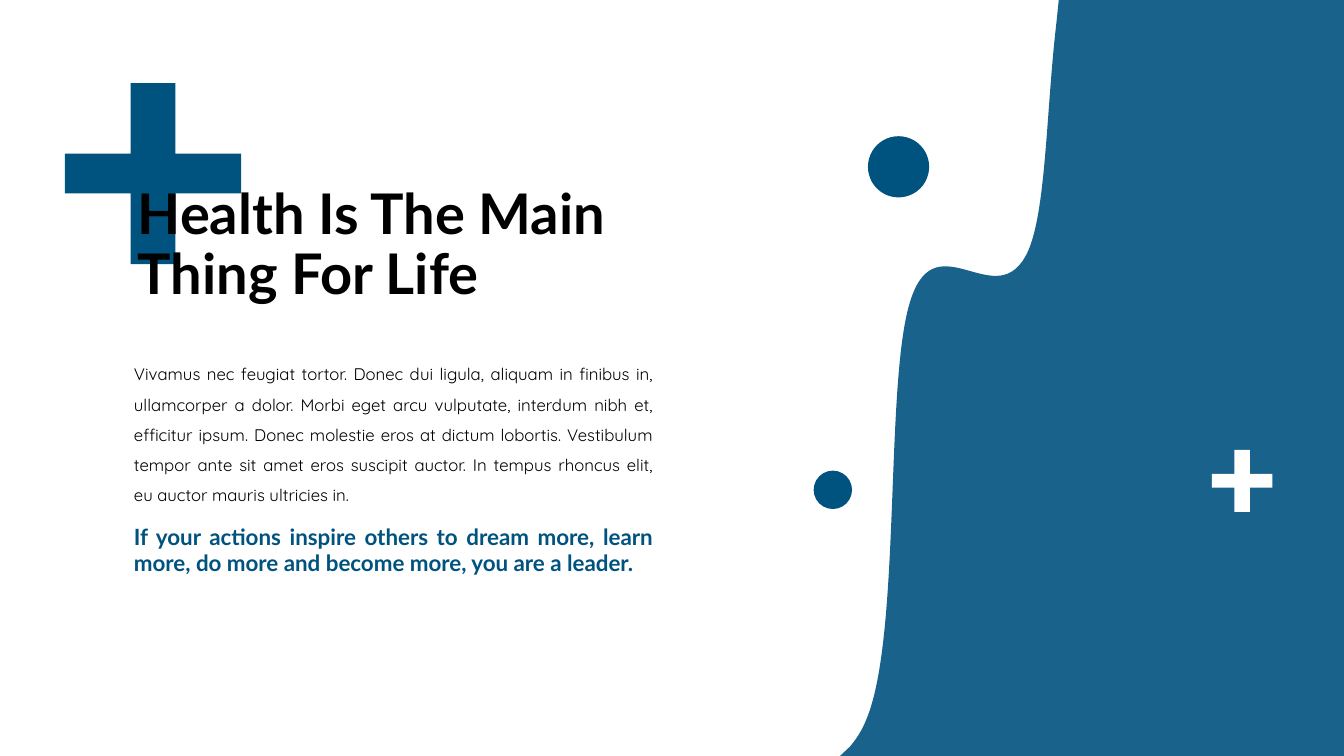
from lxml import etree
from pptx import Presentation
from pptx.dml.color import RGBColor
from pptx.enum.shapes import MSO_SHAPE
from pptx.enum.text import MSO_ANCHOR, MSO_AUTO_SIZE, PP_ALIGN
from pptx.oxml.ns import qn
from pptx.util import Pt

BLUE, WHITE, BLACK = "00527F", "FFFFFF", "000000"

WAVE_CORNERS = [(756.3, 0), (960, 0), (960, 540), (600, 540), (607, 533.5)]
WAVE_CURVES = [
    [(611.3, 528.5), (615.6, 522), (618.5, 514.8)],
    [(644.4, 455), (631.4, 269.3), (650.9, 213.1)],
    [(669.6, 157.7), (712.8, 226.8), (734.4, 179.3)],
    [(747.4, 149.8), (747.4, 77.8), (754.6, 16.6)],
]

BODY = (
    "Vivamus nec feugiat tortor. Donec dui ligula, aliquam in finibus in, "
    "ullamcorper a dolor. Morbi eget arcu vulputate, interdum nibh et, "
    "efficitur ipsum. Donec molestie eros at dictum lobortis. Vestibulum "
    "tempor ante sit amet eros suscipit auctor. In tempus rhoncus elit, "
    "eu auctor mauris ultricies in."
)
QUOTE = (
    "If your actions inspire others to dream more, learn more, "
    "do more and become more, you are a leader."
)


def color(value):
    return RGBColor.from_string(value)


def set_attributes(target, values):
    for name, value in values.items():
        setattr(target, name, value)


class SlideBuilder:
    heading_font = "Lato"
    body_font = "Quicksand"

    def __init__(self, presentation):
        self.slide = presentation.slides.add_slide(presentation.slide_layouts[6])
        background = self.slide.background.fill
        background.solid()
        background.fore_color.rgb = color(WHITE)

    def paint(self, shape, fill, opacity=100):
        shape.shadow.inherit = False
        shape.fill.solid()
        shape.fill.fore_color.rgb = color(fill)
        shape.line.fill.background()
        if opacity < 100:
            fill_color = shape._element.spPr.find(qn("a:solidFill"))[0]
            etree.SubElement(fill_color, qn("a:alpha")).set("val", str(opacity * 1000))

    def outline(self, points, fill, opacity=100):
        start, *others = [(Pt(x), Pt(y)) for x, y in points]
        builder = self.slide.shapes.build_freeform(*start)
        builder.add_line_segments(others, close=True)
        shape = builder.convert_to_shape()
        self.paint(shape, fill, opacity)
        return shape

    def wave(self, corners, curves, fill, opacity):
        """Draw straight edges through the corners, then curves back to the start."""
        shape = self.outline(corners, fill, opacity)
        closing = next(shape._element.iter(qn("a:close")))
        for curve in curves:
            segment = etree.Element(qn("a:cubicBezTo"))
            for x, y in curve:
                point = etree.SubElement(segment, qn("a:pt"))
                point.set("x", str(Pt(x) - shape.left))
                point.set("y", str(Pt(y) - shape.top))
            closing.addprevious(segment)

    def plus(self, left, top, width, height, fill):
        bar_width, bar_height = 0.255 * width, 0.22 * height
        x1, x2 = left + (width - bar_width) / 2, left + (width + bar_width) / 2
        y1, y2 = top + (height - bar_height) / 2, top + (height + bar_height) / 2
        right, bottom = left + width, top + height
        self.outline([
            (x1, top), (x2, top), (x2, y1), (right, y1), (right, y2), (x2, y2),
            (x2, bottom), (x1, bottom), (x1, y2), (left, y2), (left, y1), (x1, y1),
        ], fill)

    def dot(self, left, top, diameter, fill):
        shape = self.slide.shapes.add_shape(
            MSO_SHAPE.OVAL, Pt(left), Pt(top), Pt(diameter), Pt(diameter))
        self.paint(shape, fill)

    def text(self, box, content, fill, font, paragraph_format, frame_format):
        shape = self.slide.shapes.add_textbox(*(Pt(length) for length in box))
        set_attributes(shape.text_frame, {"word_wrap": True, **frame_format})
        paragraph = shape.text_frame.paragraphs[0]
        set_attributes(paragraph, paragraph_format)
        run = paragraph.add_run()
        run.text = content
        set_attributes(run.font, font)
        run.font.color.rgb = color(fill)


def main():
    presentation = Presentation()
    set_attributes(presentation, {"slide_width": Pt(960), "slide_height": Pt(540)})
    builder = SlideBuilder(presentation)
    heading, body = builder.heading_font, builder.body_font
    growing = {"auto_size": MSO_AUTO_SIZE.SHAPE_TO_FIT_TEXT}

    builder.wave(WAVE_CORNERS, WAVE_CURVES, BLUE, 90)
    builder.plus(46.4, 59.4, 125.8, 129.2, BLUE)
    builder.text((88.6, 249.3, 385.2, 116.6), BODY, BLACK,
                 {"name": body, "size": Pt(12)},
                 {"alignment": PP_ALIGN.JUSTIFY, "line_spacing": 1.5}, growing)
    builder.text((88.6, 369.8, 385.2, 46.1), QUOTE, BLUE,
                 {"name": heading, "size": Pt(16), "bold": True},
                 {"alignment": PP_ALIGN.JUSTIFY}, growing)
    builder.dot(581.2, 336.2, 27.4, BLUE)
    builder.dot(620, 97.3, 43.7, BLUE)
    builder.plus(865.6, 321.3, 43.3, 44.4, WHITE)
    builder.text((91.4, 123.8, 365.8, 104.4), "Health Is The Main Thing For Life", BLACK,
                 {"name": heading, "size": Pt(40), "bold": True},
                 {"alignment": PP_ALIGN.LEFT, "line_spacing": 0.9},
                 {"vertical_anchor": MSO_ANCHOR.MIDDLE})

    presentation.save("out.pptx")


if __name__ == "__main__":
    main()
